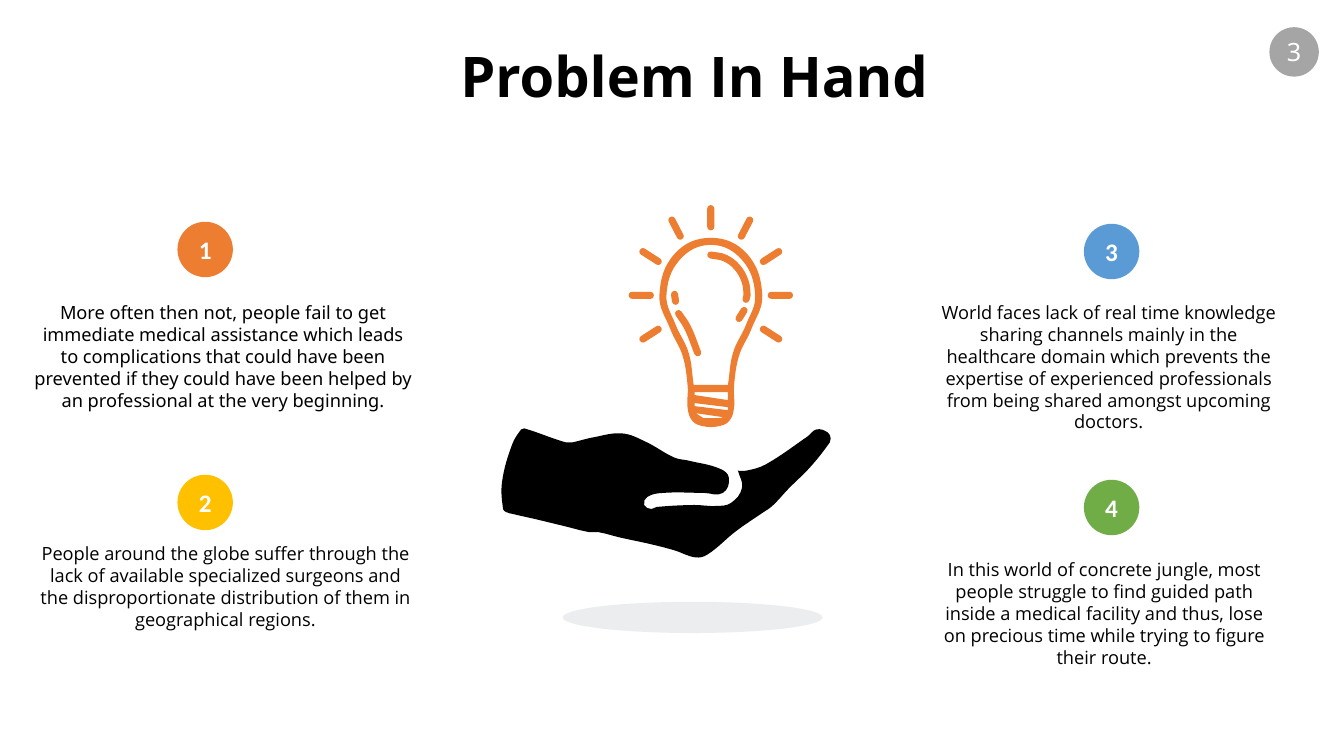
from math import atan2, cos, degrees, radians, sin

from lxml.etree import SubElement
from pptx import Presentation
from pptx.dml.color import RGBColor
from pptx.enum.shapes import MSO_SHAPE
from pptx.enum.text import MSO_ANCHOR, PP_ALIGN
from pptx.oxml.ns import qn
from pptx.util import Inches, Pt

BLACK = RGBColor(0x00, 0x00, 0x00)
WHITE = RGBColor(0xFF, 0xFF, 0xFF)
ORANGE = RGBColor(0xED, 0x7D, 0x31)
YELLOW = RGBColor(0xFF, 0xC0, 0x00)
BLUE = RGBColor(0x5B, 0x9B, 0xD5)
GREEN = RGBColor(0x70, 0xAD, 0x47)
GRAY = RGBColor(0xA5, 0xA5, 0xA5)
SLATE = RGBColor(0x44, 0x54, 0x6A)

BADGE_SIZE = 0.55
STROKE = 0.07

POINTS = [
    ("1", ORANGE, (1.76, 2.2), (0.24, 2.94, 3.94, 1.19), "Noto Sans",
     "More often then not, people fail to get immediate medical assistance which leads to "
     "complications that could have been prevented if they could have been helped by an "
     "professional at the very beginning."),
    ("2", YELLOW, (1.76, 4.71), (0.3, 5.33, 3.87, 0.98), "Open Sans",
     "People around the globe suffer through the lack of available specialized surgeons and "
     "the disproportionate distribution of them in geographical regions."),
    ("3", BLUE, (10.75, 2.22), (9.19, 2.94, 3.61, 1.19), "Open Sans",
     "World faces lack of real time knowledge sharing channels mainly in the healthcare domain "
     "which prevents the expertise of experienced professionals from being shared amongst "
     "upcoming doctors."),
    ("4", GREEN, (10.75, 4.76), (9.19, 5.49, 3.52, 0.98), "Open Sans",
     "In this world of concrete jungle, most people struggle to find guided path inside a "
     "medical facility and thus, lose on precious time while trying to figure their route."),
]

HAND_GRID = (328, 130)
HAND = [
    (235, 43), (235, 43), (243, 43), (262, 37), (304, 9), (313, 2), (324, 5), (327, 11),
    (326, 15), (307, 39), (285, 61), (269, 78), (259, 85), (233, 103), (205, 126), (193, 129),
    (172, 122), (149, 116), (117, 109), (97, 104), (88, 104), (63, 98), (34, 91), (12, 86),
    (5, 84), (2, 81), (1, 54), (11, 17), (20, 2), (23, 1), (55, 12), (65, 15), (70, 15),
    (91, 10), (120, 6), (143, 14), (172, 30), (186, 33), (217, 41), (226, 50), (220, 65),
    (201, 65), (161, 65), (145, 69), (142, 77), (149, 81), (154, 79), (191, 77), (213, 78),
    (228, 75), (239, 60),
]

GLASS_OUTER = [(0, 0), (0.36, 0.16), (0.51, 0.57), (0.4, 0.91), (0.28, 1.17), (0.23, 1.47),
               (0.23, 1.69), (0.18, 1.82), (0.07, 1.87)]
GLASS_INNER = [(0, 0.07), (0.31, 0.22), (0.44, 0.57), (0.35, 0.86), (0.22, 1.14),
               (0.17, 1.46), (0.17, 1.46)]
SOCKET_GAPS = [
    [(-0.16, 1.53), (0.17, 1.53), (0.17, 1.61), (-0.16, 1.56)],
    [(-0.16, 1.64), (0.17, 1.68), (0.17, 1.71), (-0.16, 1.67)],
    [(-0.15, 1.74), (0.13, 1.78), (0.07, 1.79), (-0.07, 1.79)],
]
GLINTS = [
    [(0, 0.17), (0.14, 0.2), (0.26, 0.29), (0.34, 0.43), (0.36, 0.57), (0.35, 0.61)],
    [(0.33, 0.72), (0.28, 0.8)],
    [(-0.36, 0.56), (-0.35, 0.63)],
    [(-0.32, 0.75), (-0.23, 0.89), (-0.13, 1.14)],
]


def paint(shape, color):
    """Give a shape a plain fill with no line or shadow."""
    shape.shadow.inherit = False
    shape.fill.solid()
    shape.fill.fore_color.rgb = color
    shape.line.fill.background()


def write(frame, text, font, size, color, bold=False):
    """Write one centred paragraph."""
    para = frame.paragraphs[0]
    para.alignment = PP_ALIGN.CENTER
    para.line_spacing = 1.0
    span = para.add_run()
    span.text = text
    span.font.name = font
    span.font.size = Pt(size)
    span.font.bold = bold
    span.font.color.rgb = color


def add_ellipse(slide, box, color):
    """Add a filled ellipse."""
    ellipse = slide.shapes.add_shape(MSO_SHAPE.OVAL, *map(Inches, box))
    paint(ellipse, color)
    return ellipse


def add_badge(slide, box, text, color, font, bold):
    """Add a numbered circle."""
    frame = add_ellipse(slide, box, color).text_frame
    frame.vertical_anchor = MSO_ANCHOR.MIDDLE
    frame.word_wrap = False
    write(frame, text, font, 18, WHITE, bold)


def add_title(slide, box, text):
    """Place and fill the title placeholder."""
    title = slide.shapes.title
    title.left, title.top, title.width, title.height = map(Inches, box)
    title.text_frame.vertical_anchor = MSO_ANCHOR.TOP
    write(title.text_frame, text, "Open Sans", 40, BLACK, True)


def add_point(slide, number, color, corner, box, font, text):
    """Add one problem statement with its numbered circle."""
    add_badge(slide, (*corner, BADGE_SIZE, BADGE_SIZE), number, color, "Calibri", True)
    frame = slide.shapes.add_textbox(*map(Inches, box)).text_frame
    frame.word_wrap = True
    write(frame, text, font, 13, BLACK)


def curve_handles(points, closed):
    """Return the two Bézier handles of each segment; a doubled point makes a corner."""
    nodes = [complex(*point) for point in points]
    count = len(nodes)

    def node(index):
        return nodes[index % count] if closed else nodes[min(max(index, 0), count - 1)]

    def heading(index):
        chord = node(index + 1) - node(index - 1)
        return chord / abs(chord)

    handles = []
    for index in range(count if closed else count - 1):
        start, end = node(index), node(index + 1)
        reach = abs(end - start) * 0.37
        handles.append((start + heading(index) * reach, end - heading(index + 1) * reach))
    return handles


def mirror(half):
    """Close a right-hand half outline around the vertical axis."""
    return half + [(-x, y) for x, y in reversed(half[1:])]


def add_outline(slide, origin, curved, straight=(), closed=True):
    """Draw contours measured in inches from the origin as one freeform."""
    left, top = origin
    placed = [[(Inches(left + x), Inches(top + y)) for x, y in contour]
              for contour in (*curved, *straight)]
    builder = slide.shapes.build_freeform(*placed[0][0], scale=1.0)
    for index, contour in enumerate(placed):
        if index:
            builder.move_to(*contour[0])
        builder.add_line_segments(contour[1:] + contour[:1] * closed, close=closed)
    shape = builder.convert_to_shape()
    handles = [pair for contour in placed[:len(curved)] for pair in curve_handles(contour, closed)]
    for segment, pair in zip(list(shape._element.iter(qn("a:lnTo"))), handles):
        segment.tag = qn("a:cubicBezTo")
        for position, handle in enumerate(pair):
            spot = SubElement(segment, qn("a:pt"))
            spot.set("x", str(round(handle.real - shape.left)))
            spot.set("y", str(round(handle.imag - shape.top)))
            segment.insert(position, spot)
    return shape


def add_hand(slide, box):
    """Draw the open hand scaled to its box."""
    left, top, width, height = box
    columns, rows = HAND_GRID
    points = [(x * width / columns, y * height / rows) for x, y in HAND]
    paint(add_outline(slide, (left, top), [points]), BLACK)


def add_bulb(slide, box):
    """Draw the light bulb with its glints and rays around the box axis."""
    left, top, width, height = box
    axis = left + width / 2
    glass = [mirror(GLASS_OUTER), mirror(GLASS_INNER)]
    paint(add_outline(slide, (axis, top), glass, SOCKET_GAPS), ORANGE)
    for points in GLINTS:
        glint = add_outline(slide, (axis, top), [points], closed=False)
        glint.shadow.inherit = False
        glint.fill.background()
        glint.line.color.rgb = ORANGE
        glint.line.width = Inches(STROKE)
        glint.line._get_or_add_ln().set("cap", "rnd")
    for angle in range(150, 391, 30):
        x, y = 0.69 * cos(radians(angle)), 0.77 * sin(radians(angle))
        ray_box = (axis + x - 0.125, top + 0.57 + y - STROKE / 2, 0.25, STROKE)
        ray = slide.shapes.add_shape(MSO_SHAPE.ROUNDED_RECTANGLE, *map(Inches, ray_box))
        ray.adjustments[0] = 0.5
        ray.rotation = degrees(atan2(y, x))
        paint(ray, ORANGE)


def main():
    """Build and save the slide."""
    deck = Presentation()
    deck.slide_width, deck.slide_height = Inches(13.33), Inches(7.5)
    page = deck.slides.add_slide(deck.slide_layouts[5])
    ground = add_ellipse(page, (5.58, 5.97, 2.58, 0.31), SLATE)
    tint = ground.fill._xPr.find(qn("a:solidFill"))[0]
    SubElement(tint, qn("a:alpha")).set("val", "10000")
    add_hand(page, (4.97, 4.24, 3.28, 1.3))
    add_title(page, (3.88, 0.36, 6.01, 0.77), "Problem In Hand")
    add_bulb(page, (6.54, 2.36, 1.02, 1.87))
    for point in POINTS:
        add_point(page, *point)
    add_badge(page, (12.59, 0.27, 0.49, 0.49), "3", GRAY, "Noto Sans", False)
    deck.save("out.pptx")


if __name__ == "__main__":
    main()
